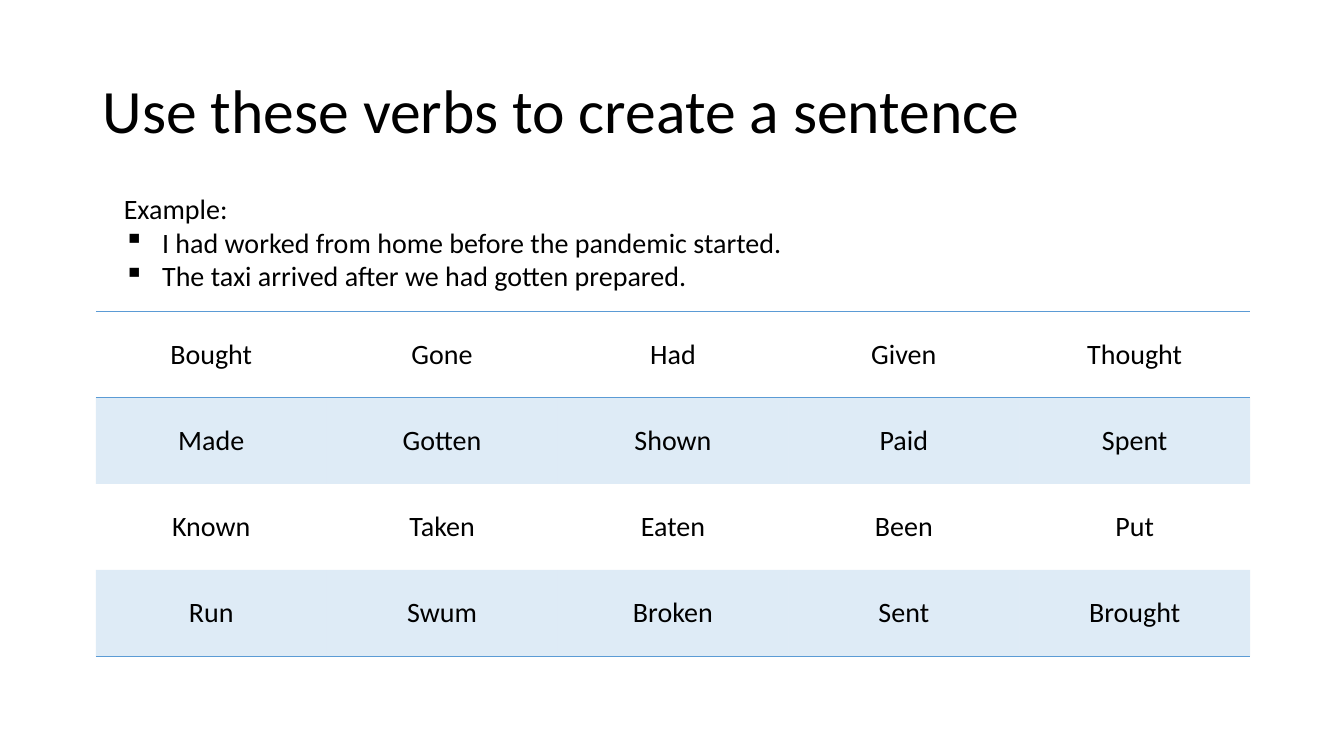
from dataclasses import dataclass

from lxml import etree
from pptx import Presentation
from pptx import util as u
from pptx.dml import color
from pptx.enum import text
from pptx.oxml import ns


@dataclass(frozen=True)
class Theme:
    font: str = "Calibri"
    ink: str = "000000"
    accent: str = "5B9BD5"
    band_alpha: int = 20
    title_size: int = 44
    body_size: int = 20
    rule_width: int = 1


THEME = Theme()
PLAIN_TABLE_STYLE = "{2D5ABB26-0587-4C30-8999-92F81FD0307C}"
EXAMPLES = [
    "I had worked from home before the pandemic started.",
    "The taxi arrived after we had gotten prepared.",
]
VERBS = [
    ["Bought", "Gone", "Had", "Given", "Thought"],
    ["Made", "Gotten", "Shown", "Paid", "Spent"],
    ["Known", "Taken", "Eaten", "Been", "Put"],
    ["Run", "Swum", "Broken", "Sent", "Brought"],
]


def add_xml(parent, tag, **attrs):
    return etree.SubElement(parent, ns.qn(tag), attrs)


def style_paragraph(p, size):
    p.font.name = THEME.font
    p.font.size = u.Pt(size)
    p.font.color.rgb = color.RGBColor.from_string(THEME.ink)


def add_text_box(s, left, top, width, height):
    tf = s.shapes.add_textbox(*map(u.Inches, (left, top, width, height))).text_frame
    tf.word_wrap = True
    return tf


def add_title(s, title):
    tf = add_text_box(s, 0.92, 0.4, 11.5, 1.45)
    tf.vertical_anchor = text.MSO_ANCHOR.MIDDLE
    p = tf.paragraphs[0]
    p.text = title
    p.line_spacing = 0.9
    style_paragraph(p, THEME.title_size)


def add_bullet(p):
    pPr = p._p.get_or_add_pPr()
    indent = u.Inches(0.38)
    pPr.set("marL", str(indent))
    pPr.set("indent", str(-indent))
    bullet = etree.Element(ns.qn("a:buChar"), char="▪")
    pPr.insert(0, bullet)


def add_examples(s, heading, examples):
    tf = add_text_box(s, 1.13, 1.85, 9.73, 1.11)
    tf.auto_size = text.MSO_AUTO_SIZE.SHAPE_TO_FIT_TEXT
    p = tf.paragraphs[0]
    p.text = heading
    style_paragraph(p, THEME.body_size)
    for example in examples:
        p = tf.add_paragraph()
        p.text = example
        style_paragraph(p, THEME.body_size)
        add_bullet(p)


def add_rule(cell, tag):
    ln = add_xml(cell._tc.get_or_add_tcPr(), tag, w=str(u.Pt(THEME.rule_width)))
    add_xml(add_xml(ln, "a:solidFill"), "a:srgbClr", val=THEME.accent)


def fill_cell(cell, banded):
    if not banded:
        cell.fill.background()
        return
    cell.fill.solid()
    cell.fill.fore_color.rgb = color.RGBColor.from_string(THEME.accent)
    clr = cell._tc.tcPr.find(ns.qn("a:solidFill")).find(ns.qn("a:srgbClr"))
    add_xml(clr, "a:alpha", val=str(THEME.band_alpha * 1000))


def add_verb_table(s, verbs):
    rows, cols = len(verbs), len(verbs[0])
    place = map(u.Inches, (0.95, 3.09, 11.45, 3.42))
    table = s.shapes.add_table(rows, cols, *place).table
    table.first_row = table.horz_banding = False
    table._tbl.tblPr.find(ns.qn("a:tableStyleId")).text = PLAIN_TABLE_STYLE
    for i, row in enumerate(verbs):
        for j, verb in enumerate(row):
            cell = table.cell(i, j)
            cell.text = verb
            cell.vertical_anchor = text.MSO_ANCHOR.MIDDLE
            p = cell.text_frame.paragraphs[0]
            p.alignment = text.PP_ALIGN.CENTER
            style_paragraph(p, THEME.body_size)
            if i == 0:
                add_rule(cell, "a:lnT")
            if i in (0, rows - 1):
                add_rule(cell, "a:lnB")
            fill_cell(cell, banded=i % 2 == 1)


def main():
    prs = Presentation()
    prs.slide_width, prs.slide_height = u.Inches(13.33), u.Inches(7.5)
    s = prs.slides.add_slide(prs.slide_layouts[6])
    add_title(s, "Use these verbs to create a sentence")
    add_verb_table(s, VERBS)
    add_examples(s, "Example:", EXAMPLES)
    prs.save("out.pptx")


if __name__ == "__main__":
    main()
